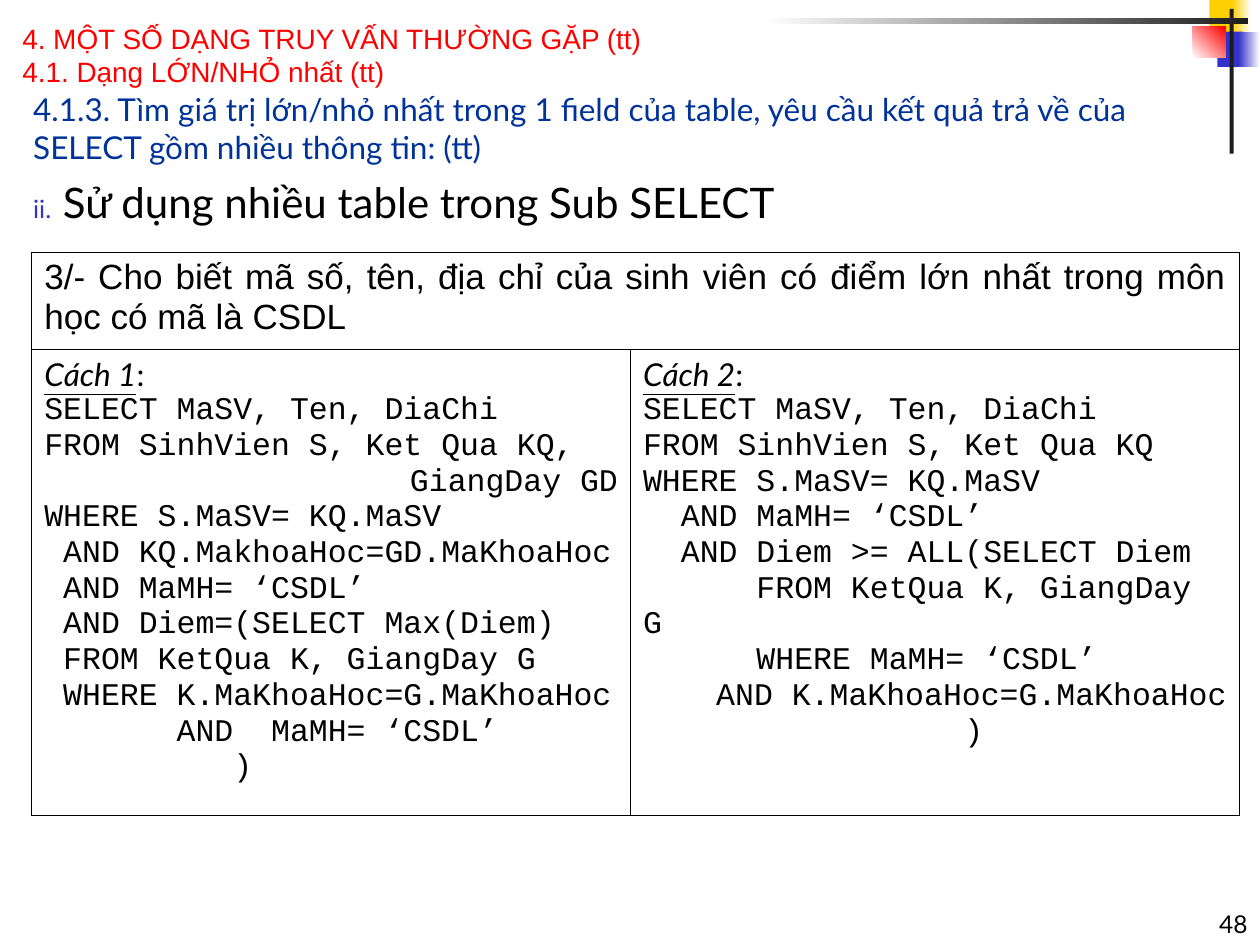
from lxml import etree
from pptx import Presentation
from pptx import util as u
from pptx.dml.color import RGBColor
from pptx.enum import shapes, text
from pptx.oxml import ns

BLACK = RGBColor(0x00, 0x00, 0x00)
WHITE = RGBColor(0xFF, 0xFF, 0xFF)
CHARCOAL = RGBColor(0x1C, 0x1C, 0x1C)
RED = RGBColor(0xFF, 0x00, 0x00)
YELLOW = RGBColor(0xFF, 0xCF, 0x01)
INDIGO = RGBColor(0x33, 0x33, 0xCC)
BLUE = RGBColor(0x00, 0x33, 0x99)

SANS, BODY, CODE = "Arial", "Lato", "Courier New"
CODE_SIZE = 18
CODE_CHAR = u.Cm(0.381)  # width of one code character
RIGHT = text.PP_ALIGN.RIGHT

# Leading spaces in a query become a first-line indent; ">" marks a right-aligned line
QUERIES = [
    ("Cách 1", [
        "SELECT MaSV, Ten, DiaChi",
        "FROM SinhVien S, Ket Qua KQ,",
        ">GiangDay GD",
        "WHERE S.MaSV= KQ.MaSV",
        " AND KQ.MakhoaHoc=GD.MaKhoaHoc",
        " AND MaMH= ‘CSDL’",
        " AND Diem=(SELECT Max(Diem)",
        " FROM KetQua K, GiangDay G",
        " WHERE K.MaKhoaHoc=G.MaKhoaHoc",
        "       AND  MaMH= ‘CSDL’",
        "          )",
    ]),
    ("Cách 2", [
        "SELECT MaSV, Ten, DiaChi",
        "FROM SinhVien S, Ket Qua KQ",
        "WHERE S.MaSV= KQ.MaSV",
        "  AND MaMH= ‘CSDL’",
        "  AND Diem >= ALL(SELECT Diem",
        "      FROM KetQua K, GiangDay G",
        "      WHERE MaMH= ‘CSDL’",
        ">AND K.MaKhoaHoc=G.MaKhoaHoc",
        "                 )",
    ]),
]


def style(paragraph, font, size, color):
    paragraph.font.name = font
    paragraph.font.size = u.Pt(size)
    paragraph.font.color.rgb = color


def add_bar(slide, left, top, width, height, color, end_color=None, angle=0):
    """Add a plain or two-colour gradient rectangle."""
    shape = slide.shapes.add_shape(
        shapes.MSO_SHAPE.RECTANGLE,
        u.Cm(left), u.Cm(top), u.Cm(width), u.Cm(height))
    shape.shadow.inherit = False
    shape.line.fill.background()
    if end_color is None:
        shape.fill.solid()
        shape.fill.fore_color.rgb = color
        return
    shape.fill.gradient()
    shape.fill.gradient_angle = angle
    for stop, position, stop_color in zip(
            shape.fill.gradient_stops, (0, 1), (color, end_color)):
        stop.position = position
        stop.color.rgb = stop_color


def add_text_frame(slide, left, top, width, height, anchor):
    box = slide.shapes.add_textbox(
        u.Cm(left), u.Cm(top), u.Cm(width), u.Cm(height))
    frame = box.text_frame
    frame.word_wrap = True
    frame.vertical_anchor = anchor
    return frame


def number_paragraph(paragraph, start, color, percent, indent):
    """Give a paragraph a small coloured roman number."""
    properties = paragraph._p.get_or_add_pPr()
    properties.set("marL", str(indent))
    properties.set("indent", str(-indent))
    bullet_color = etree.SubElement(properties, ns.qn("a:buClr"))
    etree.SubElement(bullet_color, ns.qn("a:srgbClr"), val=str(color))
    etree.SubElement(properties, ns.qn("a:buSzPct"), val=str(percent * 1000))
    etree.SubElement(properties, ns.qn("a:buAutoNum"),
                     type="romanLcPeriod", startAt=str(start))


def outline_cell(cell):
    """Draw a thin black border round a cell without fill."""
    cell.fill.background()
    properties = cell._tc.get_or_add_tcPr()
    for index, side in enumerate(("lnL", "lnR", "lnT", "lnB")):
        line = etree.Element(ns.qn("a:" + side), w=str(u.Pt(0.45)))
        fill = etree.SubElement(line, ns.qn("a:solidFill"))
        etree.SubElement(fill, ns.qn("a:srgbClr"), val=str(BLACK))
        properties.insert(index, line)


def fill_query(cell, heading, lines):
    frame = cell.text_frame
    paragraph = frame.paragraphs[0]
    style(paragraph, BODY, CODE_SIZE, BLACK)
    label = paragraph.add_run()
    label.text = heading
    label.font.italic = label.font.underline = True
    paragraph.add_run().text = ":"
    for line in lines:
        code = line.lstrip(" >")
        paragraph = frame.add_paragraph()
        paragraph.text = code
        style(paragraph, CODE, CODE_SIZE, BLACK)
        if line.startswith(">"):
            paragraph.alignment = RIGHT
        else:
            indent = (len(line) - len(code)) * CODE_CHAR
            paragraph._p.get_or_add_pPr().set("indent", str(indent))


def add_decoration(slide):
    add_bar(slide, 24.38, 0, 0.51, 0.71, YELLOW)
    add_bar(slide, 24.84, 0, 0.38, 0.71, YELLOW, WHITE)
    add_bar(slide, 24.54, 0.64, 0.51, 0.71, INDIGO)
    add_bar(slide, 24.97, 0.64, 0.43, 0.71, INDIGO, WHITE)
    add_bar(slide, 24.05, 0.53, 0.66, 0.64, WHITE, RED, 45)
    add_bar(slide, 24.79, 0.18, 0.08, 2.92, CHARCOAL)
    add_bar(slide, 15.44, 0.36, 9.73, 0.13, WHITE, CHARCOAL)


def add_headings(slide):
    title = add_text_frame(slide, 0.2, 0, 24.56, 1.91, text.MSO_ANCHOR.BOTTOM)
    paragraph = title.paragraphs[0]
    paragraph.text = ("4. MỘT SỐ DẠNG TRUY VẤN THƯỜNG GẶP (tt)\v"
                      "4.1. Dạng LỚN/NHỎ nhất (tt)")
    style(paragraph, SANS, 16, RED)

    body = add_text_frame(slide, 0.42, 1.7, 23.93, 4.88, text.MSO_ANCHOR.TOP)
    paragraph = body.paragraphs[0]
    paragraph.text = ("4.1.3. Tìm giá trị lớn/nhỏ nhất trong 1 field của table, "
                      "yêu cầu kết quả trả về của SELECT gồm nhiều thông tin: (tt)")
    paragraph.space_before = u.Pt(4.5)
    style(paragraph, BODY, 18, BLUE)
    paragraph = body.add_paragraph()
    paragraph.text = "Sử dụng nhiều table trong Sub SELECT"
    paragraph.space_before = u.Pt(6)
    style(paragraph, BODY, 24, BLACK)
    number_paragraph(paragraph, 2, INDIGO, 60, u.Cm(0.6))


def add_query_table(slide):
    widths, heights = (12.07, 12.27), (1.96, 9.4)
    table = slide.shapes.add_table(
        2, 2, u.Cm(0.64), u.Cm(5.08),
        u.Cm(sum(widths)), u.Cm(sum(heights))).table
    for column, width in zip(table.columns, widths):
        column.width = u.Cm(width)
    for row, height in zip(table.rows, heights):
        row.height = u.Cm(height)
    table.first_row = table.horz_banding = False
    for cell in table.iter_cells():
        outline_cell(cell)

    # Question across both columns
    question = table.cell(0, 0)
    question.merge(table.cell(0, 1))
    paragraph = question.text_frame.paragraphs[0]
    paragraph.text = ("3/- Cho biết mã số, tên, địa chỉ của sinh viên có điểm "
                      "lớn nhất trong môn học có mã là CSDL")
    paragraph.alignment = text.PP_ALIGN.JUSTIFY
    style(paragraph, SANS, 20, BLACK)

    # One solution per column
    for column, (heading, lines) in enumerate(QUERIES):
        fill_query(table.cell(1, column), heading, lines)


def add_page_number(slide):
    frame = add_text_frame(slide, 20.12, 17.78, 5.28, 1.27, text.MSO_ANCHOR.BOTTOM)
    paragraph = frame.paragraphs[0]
    paragraph.text = "48"
    paragraph.alignment = RIGHT
    style(paragraph, BODY, 14, BLACK)


def main():
    presentation = Presentation()
    presentation.slide_width, presentation.slide_height = u.Cm(25.4), u.Cm(19.05)
    slide = presentation.slides.add_slide(presentation.slide_layouts[6])
    add_decoration(slide)
    add_headings(slide)
    add_query_table(slide)
    add_page_number(slide)
    presentation.save("out.pptx")


if __name__ == "__main__":
    main()
